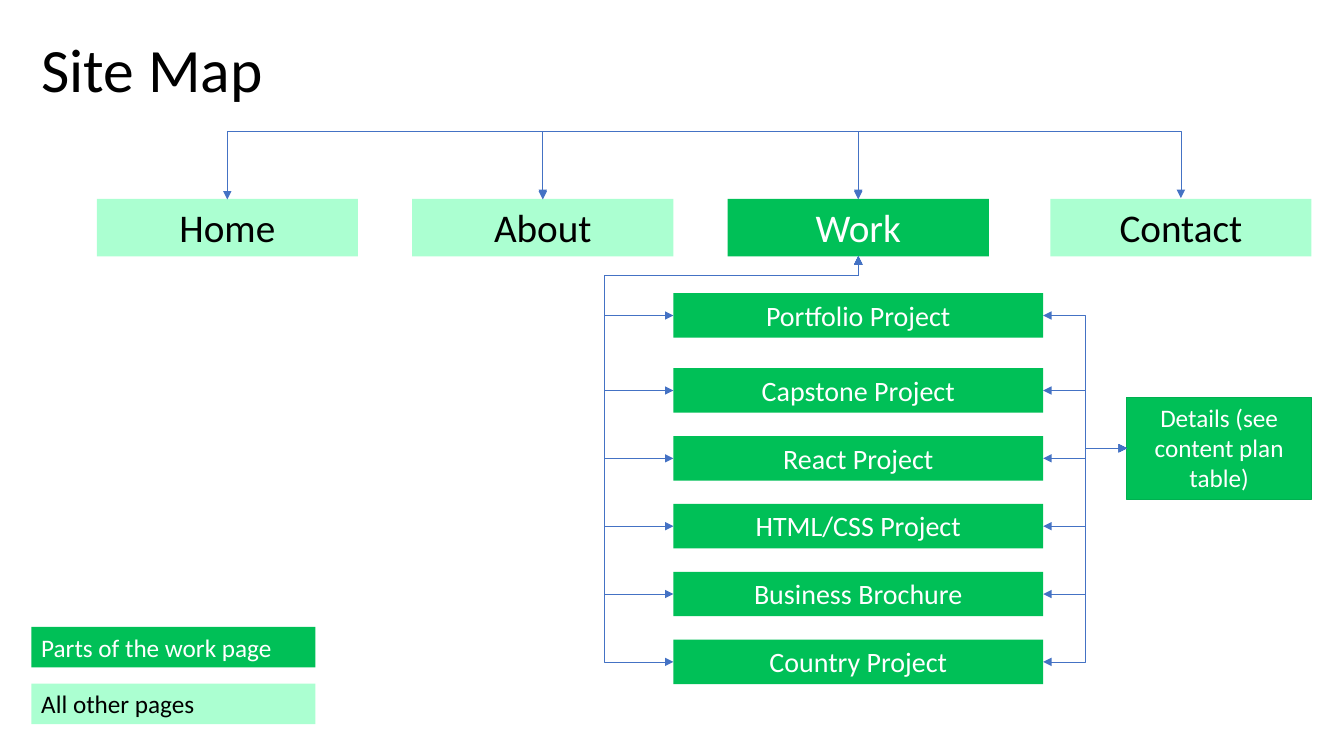
from dataclasses import dataclass

from lxml.etree import SubElement
from pptx import Presentation
from pptx.dml.color import RGBColor
from pptx.enum.shapes import MSO_CONNECTOR, MSO_SHAPE
from pptx.enum.text import MSO_ANCHOR as ANCHOR, MSO_AUTO_SIZE as FIT, PP_ALIGN as ALIGN
from pptx.oxml.ns import qn
from pptx.util import Cm, Pt

TOP, LEFT, BOTTOM, RIGHT = range(4)
MIN_EXTENT = Pt(1)


@dataclass(frozen=True)
class Theme:
    font: str = "Calibri"
    work: str = "00C057"
    other: str = "ABFFD1"
    border: str = "00B050"
    line: str = "4472C4"
    dark: str = "000000"
    light: str = "FFFFFF"
    title: int = 44
    page: int = 28
    project: int = 20
    note: int = 18


THEME = Theme()


def put_text(shape, text, size, color, align=ALIGN.LEFT, anchor=ANCHOR.TOP,
             fit=FIT.SHAPE_TO_FIT_TEXT, spacing=None):
    tf = shape.text_frame
    tf.word_wrap = True
    tf.auto_size = fit
    tf.vertical_anchor = anchor
    p = tf.paragraphs[0]
    p.alignment = align
    p.line_spacing = spacing
    r = p.add_run()
    r.text = text
    r.font.name = THEME.font
    r.font.size = Pt(size)
    r.font.color.rgb = RGBColor.from_string(color)


def add_box(s, text, x, y, w, h, size, is_work=True, align=ALIGN.CENTER, border=None):
    """Add a labelled box, coloured by whether it belongs to the work page."""
    sp = s.shapes.add_shape(MSO_SHAPE.RECTANGLE, Cm(x), Cm(y), Cm(w), Cm(h))
    sp.shadow.inherit = False
    sp.fill.solid()
    sp.fill.fore_color.rgb = RGBColor.from_string(THEME.work if is_work else THEME.other)
    if border:
        sp.line.color.rgb = RGBColor.from_string(border)
        sp.line.width = Pt(0.75)
    else:
        sp.line.fill.background()
    put_text(sp, text, size, THEME.light if is_work else THEME.dark, align)
    return sp


def side_point(sp, side):
    return {
        TOP: (sp.left + sp.width // 2, sp.top),
        LEFT: (sp.left, sp.top + sp.height // 2),
        BOTTOM: (sp.left + sp.width // 2, sp.top + sp.height),
        RIGHT: (sp.left + sp.width, sp.top + sp.height // 2),
    }[side]


def add_elbow(s, start, start_side, end, end_side, run=None, reach=None):
    """Join two boxes; run is the length of the first leg, reach that of the second."""
    x1, y1 = side_point(start, start_side)
    x2, y2 = side_point(end, end_side)
    upright = start_side in (TOP, BOTTOM)
    along, across = (y2 - y1, x1 - x2) if upright else (x2 - x1, y2 - y1)
    w, h = max(abs(along), MIN_EXTENT), abs(across)

    c = s.shapes.add_connector(MSO_CONNECTOR.ELBOW, x1, y1, x2, y2)
    c.begin_connect(start, start_side)
    c.end_connect(end, end_side)
    c.left, c.top = (x1 + x2 - w) // 2, (y1 + y2 - h) // 2
    c.width, c.height = w, h
    xfrm = c._element.spPr.find(qn("a:xfrm"))
    xfrm.set("rot", "5400000" if upright else "0")
    xfrm.set("flipH", "1" if along <= 0 else "0")
    xfrm.set("flipV", "1" if across < 0 else "0")

    geom = c._element.spPr.find(qn("a:prstGeom"))
    geom.set("prst", "bentConnector4" if reach else "bentConnector3")
    guides = geom.find(qn("a:avLst"))
    for i, (length, extent) in enumerate(((run, w), (reach, h)), 1):
        if length:
            SubElement(guides, qn("a:gd"), name=f"adj{i}",
                       fmla=f"val {round(length / extent * 100000)}")

    c.line.color.rgb = RGBColor.from_string(THEME.line)
    c.line.width = Pt(0.5)
    ln = c._element.spPr.find(qn("a:ln"))
    for tag in ("a:headEnd", "a:tailEnd"):
        SubElement(ln, qn(tag), type="triangle")
    SubElement(c._element.spPr, qn("a:effectLst"))


def add_title(s, text):
    box = s.shapes.add_textbox(Cm(0.79), Cm(0), Cm(7.16), Cm(3.68))
    put_text(box, text, THEME.title, THEME.dark, anchor=ANCHOR.MIDDLE,
             fit=FIT.NONE, spacing=0.9)


def add_legend(s):
    entries = (("Parts of the work page", True), ("All other pages", False))
    for i, (text, is_work) in enumerate(entries):
        add_box(s, text, 0.79, 15.8 + 1.43 * i, 7.16, 1.02, THEME.note, is_work, ALIGN.LEFT)


def add_pages(s):
    columns = {"Home": 2.44, "About": 10.39, "Work": 18.34, "Contact": 26.47}
    return [add_box(s, name, x, 5.01, 6.58, 1.45, THEME.page, name == "Work")
            for name, x in columns.items()]


def add_projects(s):
    names = ("Capstone Project", "React Project", "HTML/CSS Project",
             "Business Brochure", "Country Project")
    rows = [("Portfolio Project", 7.39)]
    rows += [(name, 9.28 + 1.71 * i) for i, name in enumerate(names)]
    return [add_box(s, name, 16.97, y, 9.32, 1.12, THEME.project) for name, y in rows]


def main():
    prs = Presentation()
    prs.slide_width, prs.slide_height = Cm(33.87), Cm(19.05)
    s = prs.slides.add_slide(prs.slide_layouts[6])

    add_title(s, "Site Map")
    add_legend(s)
    pages = add_pages(s)
    projects = add_projects(s)
    details = add_box(s, "Details (see content plan table)", 28.4, 10.01, 4.65, 2.57,
                      THEME.note, border=THEME.border)

    for page, neighbour in zip(pages, pages[1:]):
        add_elbow(s, page, TOP, neighbour, TOP, run=Cm(1.73))
    work = pages[2]
    for project in projects:
        add_elbow(s, work, BOTTOM, project, LEFT, run=Cm(0.48), reach=Cm(6.39))
        add_elbow(s, project, RIGHT, details, LEFT)

    prs.save("out.pptx")


if __name__ == "__main__":
    main()
